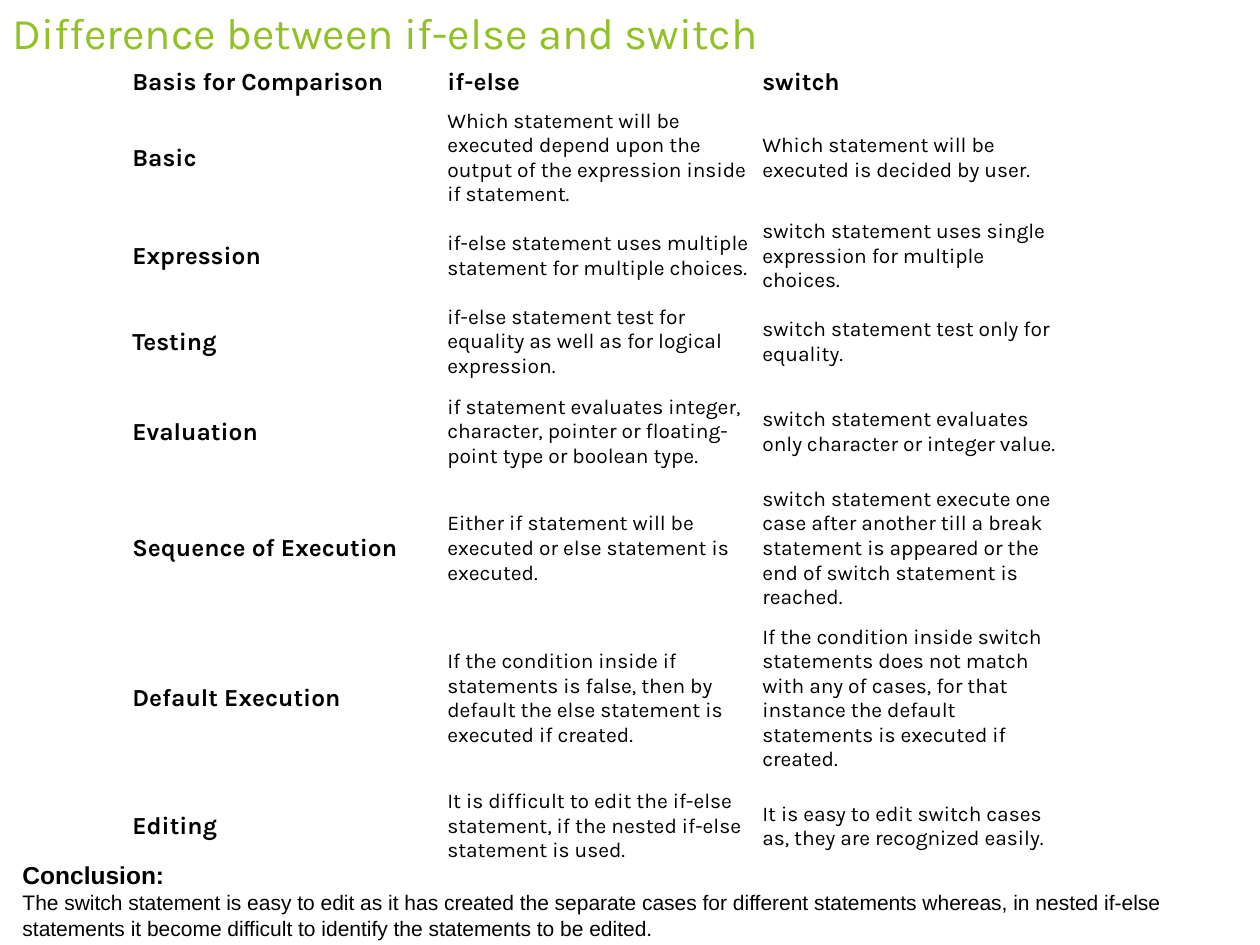
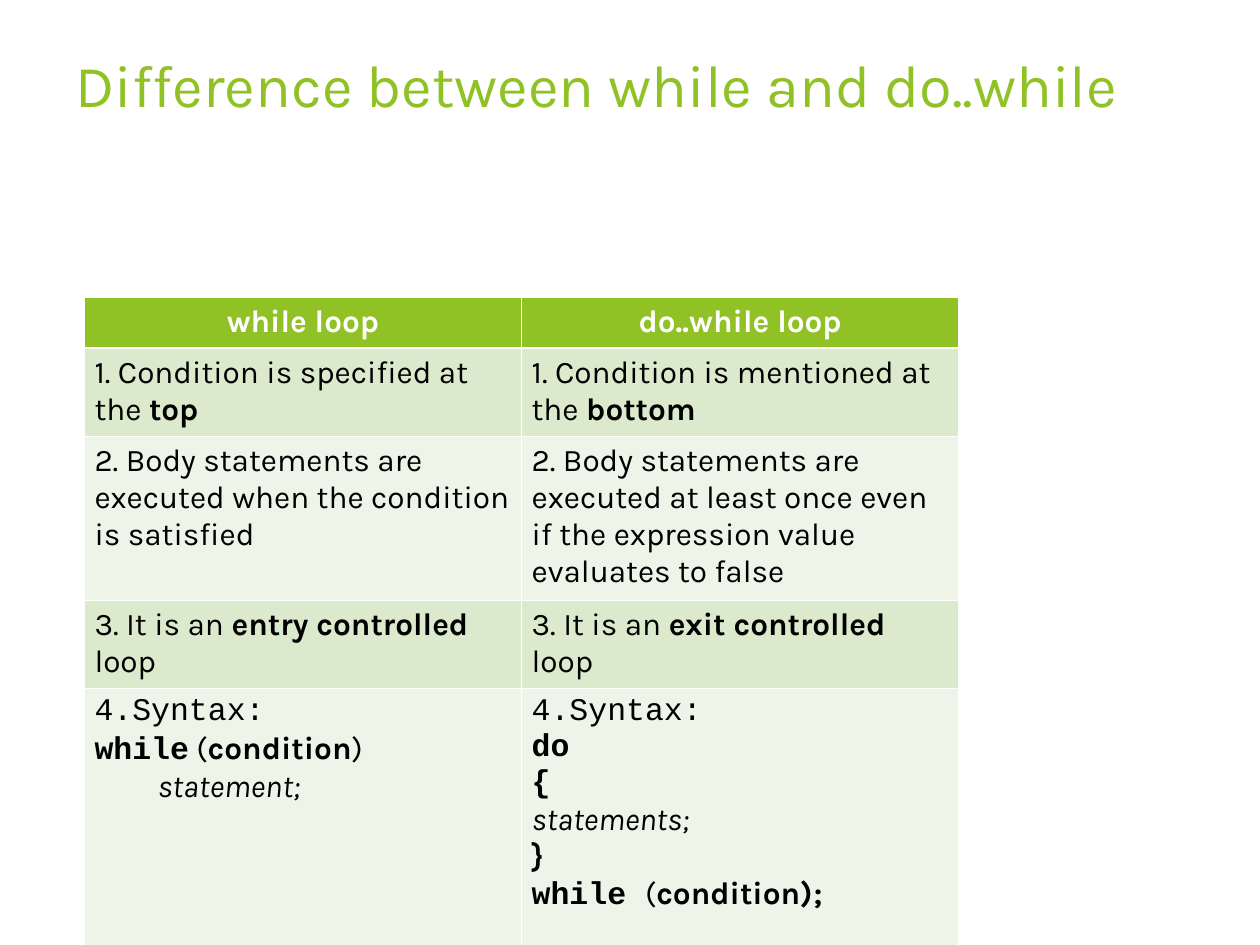
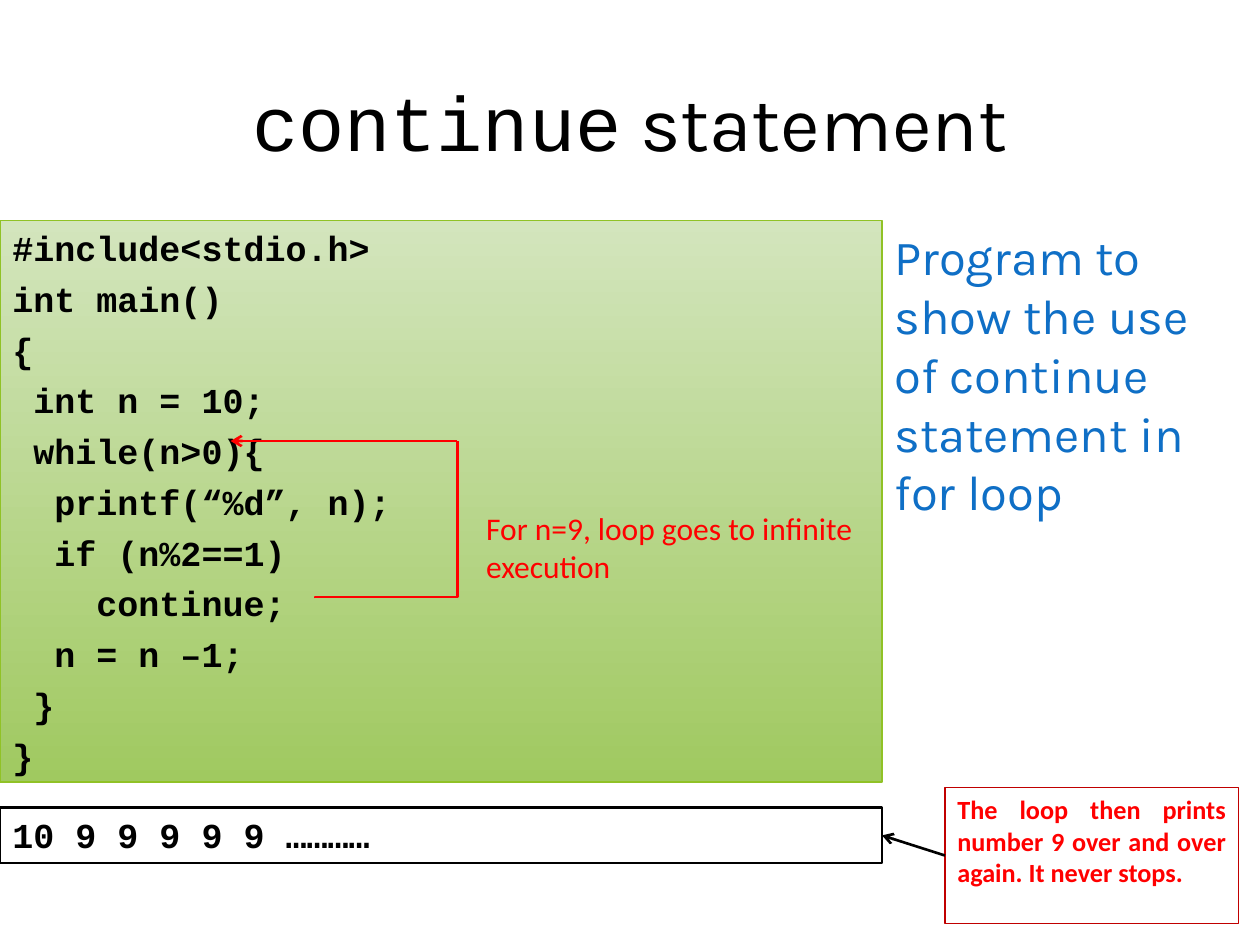
from dataclasses import dataclass
from lxml.etree import SubElement
from pptx import Presentation
from pptx.dml.color import RGBColor as RGB
from pptx.enum.shapes import MSO_CONNECTOR as CONN, MSO_SHAPE as SHAPE
from pptx.enum.text import MSO_ANCHOR as ANCHOR, PP_ALIGN as ALIGN
from pptx.oxml.ns import qn
from pptx.util import Inches, Pt


@dataclass(frozen=True)
class Theme:
    """Colours, fonts and type sizes of the deck."""
    green: str = "90C226"
    band_dark: str = "DBE9CD"
    band_light: str = "EEF4E8"
    code_top: str = "D3E5BD"
    code_bottom: str = "A0C960"
    black: str = "000000"
    white: str = "FFFFFF"
    red: str = "FF0000"
    dark_red: str = "C00000"
    blue: str = "0F6FC6"
    body: str = "Karla"
    mono: str = "Courier New"
    plain: str = "Arial"
    note: str = "Calibri"
    headline: int = 44
    title: int = 34
    small_title: int = 25
    lead: int = 28
    code: int = 20
    text: int = 18
    callout: int = 15
    label: int = 14
    detail: int = 12


T = Theme()
BOLD = {"bold": True}
ITALIC = {"italic": True}
MONO = {"font": T.mono}
MONO_BOLD = {**MONO, **BOLD}

IF_SWITCH = [
    ("Basis for Comparison", "if-else", "switch"),
    ("Basic",
     "Which statement will be executed depend upon the output of the expression inside if statement.",
     "Which statement will be executed is decided by user."),
    ("Expression",
     "if-else statement uses multiple statement for multiple choices.",
     "switch statement uses single expression for multiple choices."),
    ("Testing",
     "if-else statement test for equality as well as for logical expression.",
     "switch statement test only for equality."),
    ("Evaluation",
     "if statement evaluates integer, character, pointer or floating-point type or boolean type.",
     "switch statement evaluates only character or integer value."),
    ("Sequence of Execution",
     "Either if statement will be executed or else statement is executed.",
     "switch statement execute one case after another till a break statement is appeared "
     "or the end of switch statement is reached."),
    ("Default Execution",
     "If the condition inside if statements is false, then by default the else statement "
     "is executed if created.",
     "If the condition inside switch statements does not match with any of cases, for that "
     "instance the default statements is executed if created."),
    ("Editing",
     "It is difficult to edit the if-else statement, if the nested if-else statement is used.",
     "It is easy to edit switch cases as, they are recognized easily."),
]
IF_SWITCH_HEIGHTS = (0.29, 0.85, 0.65, 0.65, 0.75, 1.1, 1.25, 0.75)

CONCLUSION = [
    [("Conclusion:", {"size": T.label, "bold": True})],
    "The switch statement is easy to edit as it has created the separate cases for different "
    "statements whereas, in nested if-else statements it become difficult to identify the "
    "statements to be edited.",
]

LOOPS = [
    (["while loop"], ["do..while loop"]),
    ([["1. Condition is specified at the ", ("top", BOLD)]],
     [["1. Condition is mentioned at the ", ("bottom", BOLD)]]),
    (["2. Body statements are executed when the condition is satisfied"],
     ["2. Body statements are executed at least once even if the expression value evaluates to false"]),
    ([["3. It is an ", ("entry controlled ", BOLD), "loop"]],
     [["3. It is an ", ("exit controlled", BOLD), " loop"]]),
    ([[("4.Syntax:", MONO)],
      [("while", MONO_BOLD), " (", ("condition", BOLD), ")"],
      [("statement;", ITALIC)]],
     [[("4.Syntax:", MONO)],
      [("do", MONO_BOLD)],
      [("{", MONO_BOLD)],
      [("statements;", ITALIC)],
      [("}", BOLD)],
      [("while ", MONO_BOLD), "(", ("condition);", BOLD)]]),
]
LOOP_HEIGHTS = (0.4, 0.7, 1.3, 0.7, 2.2)

PROGRAM = """#include<stdio.h>
int main()
{
 int n = 10;
 while(n>0){
  printf(“%d”, n);
  if (n%2==1)
    continue;
  n = n –1;
 }
}""".split("\n")


def color(value):
    """Turn a hex string into a colour."""
    return RGB.from_string(value)


def write(tf, paras, size=T.text, font=T.body, fg=T.black, bold=False, italic=False,
          align=ALIGN.LEFT, gap=0):
    """Fill a text frame with paragraphs of plain or formatted runs."""
    base = {"size": size, "font": font, "fg": fg, "bold": bold, "italic": italic}
    for i, para in enumerate(paras):
        p = tf.add_paragraph() if i else tf.paragraphs[0]
        p.alignment = align
        if i and gap:
            p.space_before = Pt(gap)
        for run in [para] if isinstance(para, str) else para:
            text, extra = (run, {}) if isinstance(run, str) else run
            fmt = {**base, **extra}
            r = p.add_run()
            r.text = text
            r.font.size = Pt(fmt["size"])
            r.font.name = fmt["font"]
            r.font.bold = fmt["bold"]
            r.font.italic = fmt["italic"]
            r.font.color.rgb = color(fmt["fg"])


def add_text(s, box, paras, anchor=ANCHOR.TOP, wrap=True, **fmt):
    """Add a text box."""
    sp = s.shapes.add_textbox(*map(Inches, box))
    tf = sp.text_frame
    tf.word_wrap = wrap
    tf.vertical_anchor = anchor
    write(tf, paras, **fmt)
    return sp


def add_box(s, box, paras, line, width, fill=None, **fmt):
    """Add an outlined rectangle; two fill colours make a vertical gradient."""
    sp = s.shapes.add_shape(SHAPE.RECTANGLE, *map(Inches, box))
    sp.shadow.inherit = False
    sp.line.color.rgb = color(line)
    sp.line.width = Pt(width)
    if fill is None:
        sp.fill.background()
    elif isinstance(fill, str):
        sp.fill.solid()
        sp.fill.fore_color.rgb = color(fill)
    else:
        sp.fill.gradient()
        sp.fill.gradient_angle = 270
        for stop, value in zip(sp.fill.gradient_stops, fill):
            stop.color.rgb = color(value)
    tf = sp.text_frame
    tf.word_wrap = True
    tf.vertical_anchor = ANCHOR.TOP
    write(tf, paras, **fmt)
    return sp


def add_line(s, start, end, fg, kind=CONN.STRAIGHT, arrow=False):
    """Add a connector, with an optional arrowhead at its end."""
    c = s.shapes.add_connector(kind, *map(Inches, start + end))
    c.line.color.rgb = color(fg)
    c.line.width = Pt(1.5)
    if arrow:
        SubElement(c.line._get_or_add_ln(), qn("a:tailEnd"), type="arrow")
    SubElement(c._element.spPr, qn("a:effectLst"))
    return c


def add_grid(s, box, widths, heights):
    """Add a plain table with the given column widths and row heights."""
    frame = s.shapes.add_table(len(heights), len(widths), *map(Inches, box))
    table = frame.table
    table.first_row = table.horz_banding = False
    for col, width in zip(table.columns, widths):
        col.width = Inches(width)
    for row, height in zip(table.rows, heights):
        row.height = Inches(height)
    return table


def set_borders(cell, top, bottom):
    """Draw white cell borders, given the top and bottom widths in points."""
    tcPr = cell._tc.get_or_add_tcPr()
    for side, width in zip("LRTB", (0.45, 0.45, top, bottom)):
        ln = SubElement(tcPr, qn(f"a:ln{side}"), w=str(Pt(width)))
        SubElement(SubElement(ln, qn("a:solidFill")), qn("a:srgbClr"), val=T.white)


def add_title(s, box, text, size):
    """Add a green slide title."""
    add_text(s, box, [text], size=size, fg=T.green)


def comparison_table(s, box):
    """Add the unfilled if-else and switch table."""
    table = add_grid(s, box, [box[2] / 3] * 3, IF_SWITCH_HEIGHTS)
    for i, row in enumerate(IF_SWITCH):
        for j, text in enumerate(row):
            cell = table.cell(i, j)
            cell.fill.background()
            cell.vertical_anchor = ANCHOR.MIDDLE
            cell.margin_left = cell.margin_right = Inches(0.05)
            cell.margin_top = cell.margin_bottom = Inches(0.04)
            head = i == 0 or j == 0
            write(cell.text_frame, [text], size=T.label if head else T.detail, bold=head)


def loop_table(s, box):
    """Add the banded while and do..while table."""
    table = add_grid(s, box, [box[2] / 2] * 2, LOOP_HEIGHTS)
    for i, row in enumerate(LOOPS):
        head = i == 0
        band = T.green if head else T.band_dark if i % 2 else T.band_light
        for j, paras in enumerate(row):
            cell = table.cell(i, j)
            cell.margin_left = cell.margin_right = Inches(0.08)
            set_borders(cell, 1.47 if i == 1 else 0.45, 1.47 if head else 0.45)
            cell.fill.solid()
            cell.fill.fore_color.rgb = color(band)
            write(cell.text_frame, paras, bold=head, fg=T.white if head else T.black,
                  align=ALIGN.CENTER if head else ALIGN.LEFT)
    statement = table.cell(len(LOOPS) - 1, 0).text_frame.paragraphs[-1]
    statement._p.get_or_add_pPr().set("marL", str(Inches(0.5)))


def code_panel(s, box):
    """Add the program listing."""
    add_box(s, box, PROGRAM, T.green, 1, (T.code_top, T.code_bottom),
            size=T.code, font=T.mono, bold=True, gap=5)


def loop_back(s, box):
    """Add the red path from continue back to the loop test, with its note."""
    x, y, w, h = box
    tail, right = x + 0.67, x + w
    mid_x, mid_y = (tail + right) / 2, y + h / 2
    half_w, half_h = h / 2, (right - tail) / 2
    elbow = add_line(s, (mid_x + half_w, mid_y + half_h), (mid_x - half_w, mid_y - half_h),
                     T.red, CONN.ELBOW)
    elbow._element.spPr.find(qn("a:xfrm")).set("rot", "5400000")
    guides = elbow._element.spPr.find(qn("a:prstGeom")).find(qn("a:avLst"))
    SubElement(guides, qn("a:gd"), name="adj1", fmla="val 1000")
    add_line(s, (right, y), (x, y), T.red, arrow=True)
    add_text(s, (right + 0.13, y + 0.49, 3.12, 0.7),
             ["For n=9, loop goes to infinite", "execution"],
             wrap=False, font=T.note, fg=T.red)


def output_row(s, box):
    """Add the program output and the callout that explains it."""
    x, y, w, h = box
    output = add_box(s, (x, y + 0.16, 7, 0.44), ["10 9 9 9 9 9 …………"], T.black, 1.5, T.white,
                     size=T.code, font=T.mono, bold=True)
    callout = add_box(s, (x + 7.5, y, w - 7.5, h),
                      ["The loop then prints number 9 over and over again. It never stops."],
                      T.dark_red, 0.75, size=T.callout, font=T.note, fg=T.red, bold=True,
                      align=ALIGN.JUSTIFY)
    c = add_line(s, (x + 7.5, y + h / 2), (x + 7, y + 0.38), T.black, arrow=True)
    c.begin_connect(callout, 1)
    c.end_connect(output, 3)


def if_switch_slide(s):
    """Compare if-else with switch."""
    add_title(s, (0, 0, 9.75, 0.5), "Difference between if-else and switch", T.small_title)
    comparison_table(s, (1, 0.5, 7.5, 6.28))
    add_text(s, (0.08, 6.78, 9.79, 0.72), CONCLUSION, size=T.detail, font=T.plain)


def loops_slide(s):
    """Compare while with do..while."""
    add_title(s, (0.5, 0.33, 9, 1.25), "Difference between while and do..while", T.title)
    loop_table(s, (0.67, 2.36, 6.94, 5.3))


def continue_slide(s):
    """Show the continue statement in a program."""
    code_panel(s, (0, 1.75, 7, 4.46))
    output_row(s, (0, 6.25, 9.83, 1.08))
    add_text(s, (0.5, 0.33, 9, 1.25), [[("continue", MONO), " statement"]],
             anchor=ANCHOR.MIDDLE, size=T.headline, align=ALIGN.CENTER)
    add_text(s, (7, 1.75, 2.58, 4.46),
             ["Program to show the use of continue statement in for loop"],
             size=T.lead, fg=T.blue)
    loop_back(s, (1.83, 3.5, 1.8, 1.25))


def main():
    """Build and save the deck."""
    prs = Presentation()
    prs.slide_width, prs.slide_height = Inches(10), Inches(7.5)
    for build in (if_switch_slide, loops_slide, continue_slide):
        build(prs.slides.add_slide(prs.slide_layouts[6]))
    prs.save("out.pptx")


if __name__ == "__main__":
    main()
